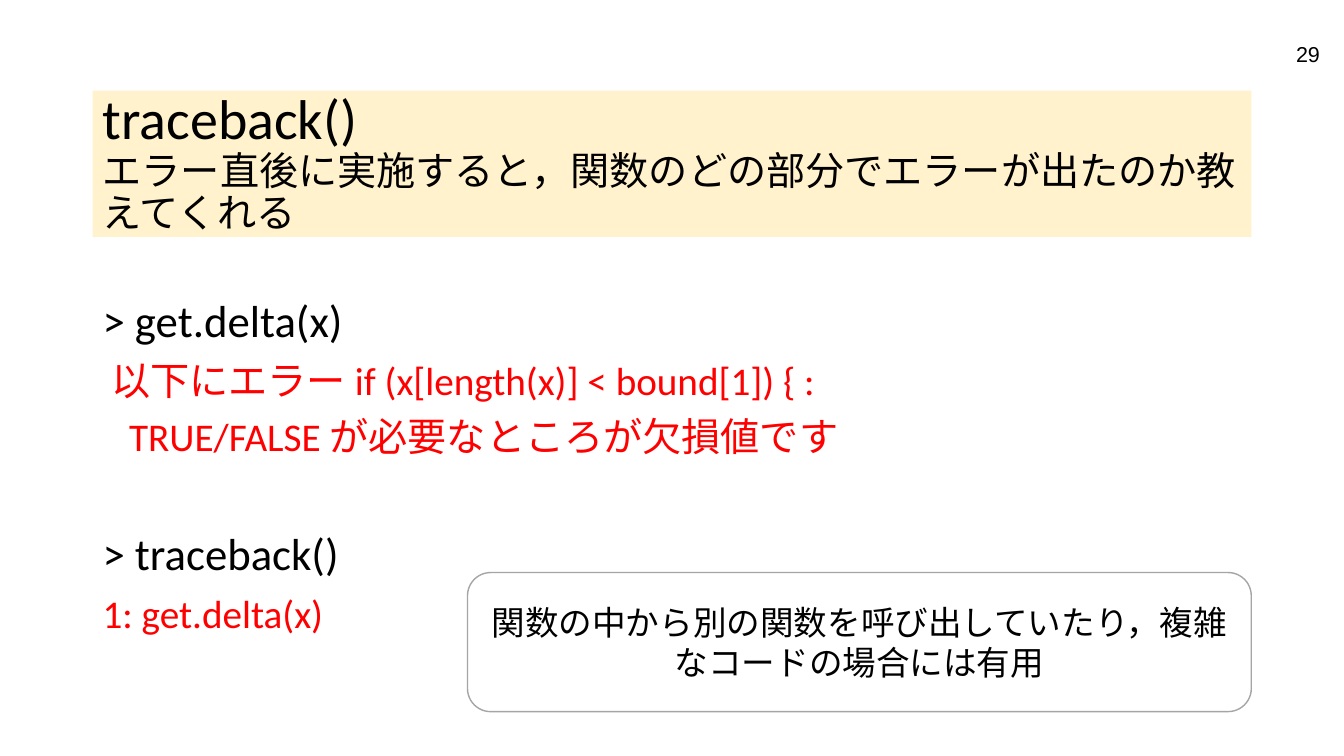
from pptx import Presentation
from pptx.dml.color import RGBColor
from pptx.enum.shapes import MSO_SHAPE
from pptx.enum.text import MSO_ANCHOR, MSO_AUTO_SIZE, PP_ALIGN
from pptx.util import Pt

BLACK, RED = "000000", "FF0000"
LEFT, WIDTH = Pt(66.24), Pt(828)


def rgb(value):
    return RGBColor.from_string(value)


def style(paragraph, size, color=BLACK, name="Calibri", align=PP_ALIGN.LEFT, spacing=0.9):
    paragraph.alignment = align
    paragraph.line_spacing = spacing
    paragraph.font.size = Pt(size)
    paragraph.font.name = name
    paragraph.font.color.rgb = rgb(color)


prs = Presentation()
prs.slide_width, prs.slide_height = Pt(960.48), Pt(540)
slide = prs.slides.add_slide(prs.slide_layouts[5])

title = slide.shapes.title
title.left, title.top, title.width, title.height = LEFT, Pt(64.8), WIDTH, Pt(104.4)
title.fill.solid()
title.fill.fore_color.rgb = rgb("FFF2CC")
title.text_frame.auto_size = MSO_AUTO_SIZE.NONE
title.text_frame.vertical_anchor = MSO_ANCHOR.MIDDLE
heading = title.text_frame.paragraphs[0]
style(heading, 40)
heading.add_run().text = "traceback()"
heading.add_line_break()
explanation = heading.add_run()
explanation.text = "エラー直後に実施すると，関数のどの部分でエラーが出たのか教えてくれる"
explanation.font.size = Pt(28)

# text, size, colour, space before, left indent
console_lines = [
    ("> get.delta(x)", 32, BLACK, 0, 0),
    ("以下にエラー if (x[length(x)] < bound[1]) { :", 28, RED, 10, 6.3),
    ("TRUE/FALSE が必要なところが欠損値です", 28, RED, 10, 19),
    ("> traceback()", 32, BLACK, 51, 0),
    ("1: get.delta(x)", 28, RED, 10, 0),
]
console = slide.shapes.add_textbox(LEFT, Pt(210.24), WIDTH, Pt(276.48)).text_frame
console.word_wrap = True
for index, (text, size, color, before, indent) in enumerate(console_lines):
    line = console.add_paragraph() if index else console.paragraphs[0]
    line.text = text
    line.space_before = Pt(before)
    if indent:
        line._p.get_or_add_pPr().set("marL", str(Pt(indent)))
    style(line, size, color)

hint = slide.shapes.add_shape(
    MSO_SHAPE.ROUNDED_RECTANGLE, Pt(334.08), Pt(408.96), Pt(560.16), Pt(99.36))
hint.shadow.inherit = False
hint.fill.solid()
hint.fill.fore_color.rgb = rgb("FFFFFF")
hint.line.color.rgb = rgb("A5A5A5")
hint.line.width = Pt(1)
hint.text_frame.word_wrap = True
hint.text_frame.vertical_anchor = MSO_ANCHOR.MIDDLE
hint.text_frame.text = "関数の中から別の関数を呼び出していたり，複雑なコードの場合には有用"
style(hint.text_frame.paragraphs[0], 24, align=PP_ALIGN.CENTER, spacing=1.0)

page_number = slide.shapes.add_textbox(Pt(717.84), Pt(25.92), Pt(232.56), Pt(28.8)).text_frame
page_number.word_wrap = True
page_number.vertical_anchor = MSO_ANCHOR.MIDDLE
page_number.text = "29"
style(page_number.paragraphs[0], 15.4, name="Arial", align=PP_ALIGN.RIGHT, spacing=0.8)

prs.save("out.pptx")
